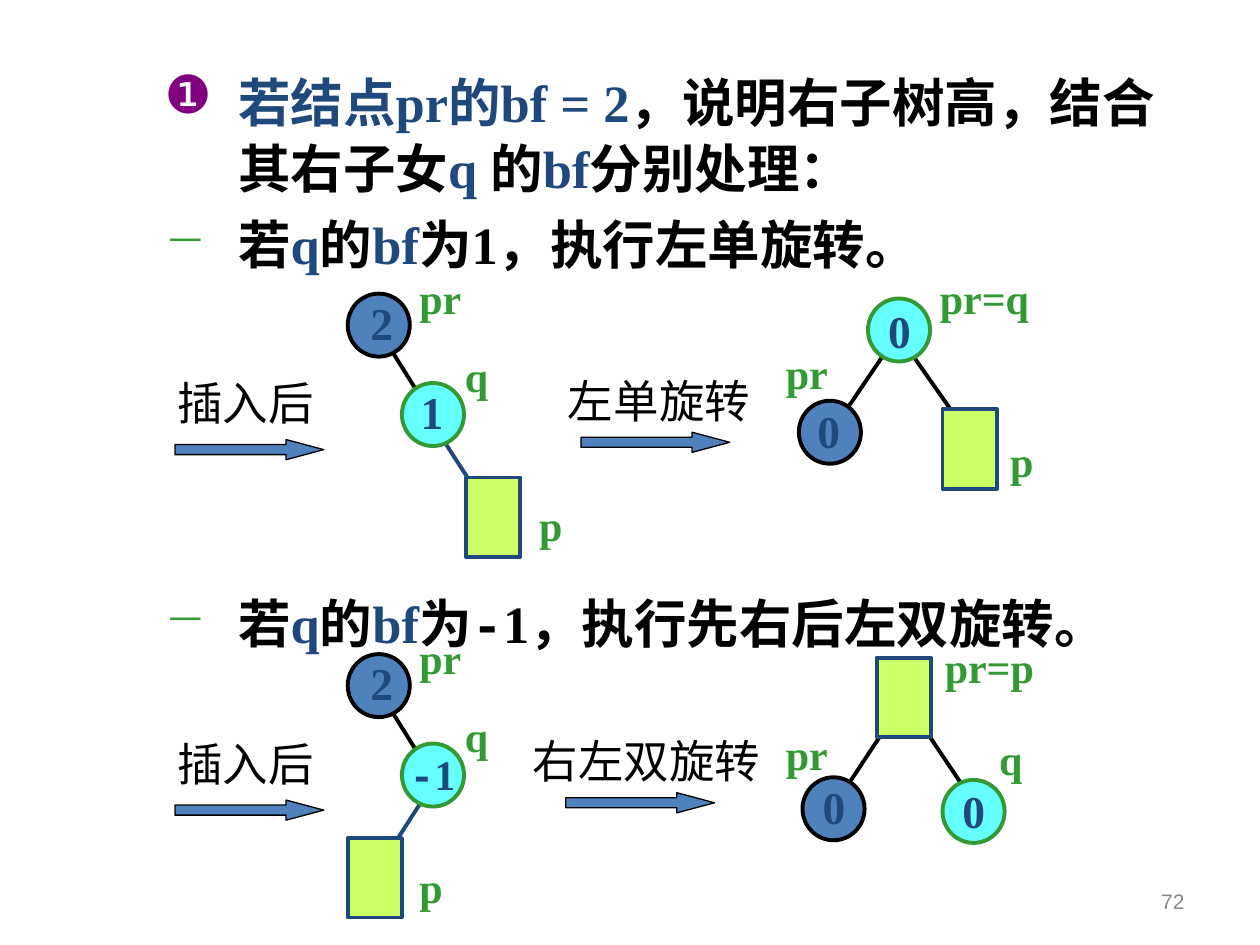
from lxml.etree import SubElement
from pptx import Presentation
from pptx.dml.color import RGBColor
from pptx.enum.shapes import MSO_CONNECTOR as Link, MSO_SHAPE as Kind
from pptx.enum.text import MSO_ANCHOR as Anchor, MSO_AUTO_SIZE as Fit, PP_ALIGN as Align
from pptx.oxml.ns import qn
from pptx.util import Pt

BLACK = RGBColor(0, 0, 0)
NAVY = RGBColor(0x1F, 0x49, 0x7D)
BLUE = RGBColor(0x4F, 0x81, 0xBD)
GREEN = RGBColor(0x33, 0x99, 0x33)
CYAN = RGBColor(0x66, 0xFF, 0xFF)
LIME = RGBColor(0xCC, 0xFF, 0x66)
PURPLE = RGBColor(0x80, 0x00, 0x80)
GREY = RGBColor(0x89, 0x89, 0x89)
SERIF, SANS, MONO = "Times New Roman", "Arial", "Courier New"


def write(shapes, place, *lines, size=26, color=BLACK, face=SERIF, bold=True, wrap=False):
    """Add a text box; text between bars is navy, a hyphen is monospaced."""
    frame = shapes.add_textbox(*map(Pt, place)).text_frame
    frame.word_wrap = wrap
    frame.auto_size = Fit.NONE if wrap else Fit.SHAPE_TO_FIT_TEXT
    for i, line in enumerate(lines):
        par = frame.add_paragraph() if i else frame.paragraphs[0]
        for j, piece in enumerate(line.split("|")):
            head, dash, tail = piece.partition("-")
            for part, name in ((head, face), (dash, MONO), (tail, face)):
                if part:
                    run = par.add_run()
                    run.text = part
                    font = run.font
                    font.size, font.name, font.bold = Pt(size), name, bold
                    font.color.rgb = NAVY if j % 2 else color
    return frame


def draw(shapes, kind, place, fill, edge, width=2.25):
    shape = shapes.add_shape(kind, *map(Pt, place))
    shape.shadow.inherit = False
    shape.fill.solid()
    shape.fill.fore_color.rgb = fill
    shape.line.color.rgb = edge
    shape.line.width = Pt(width)
    return shape


deck = Presentation()
deck.slide_width, deck.slide_height = Pt(720), Pt(540)
slide = deck.slides.add_slide(deck.slide_layouts[6])
root = slide.shapes

# Rules, with room for one drawing between the two cases
body = write(
    root, (51.3, 34.6, 620, 474),
    "|若结点pr的bf = 2|，说明右子树高，结合其右子女|q |的|bf|分别处理：",
    "若|q|的|bf|为1，执行左单旋转。",
    "若|q|的|bf|为-1，执行先右后左双旋转。",
    size=30, wrap=True)
looks = [("❶", PURPLE, 1.05, 0), ("─", GREEN, 1.1, 3.7), ("─", GREEN, 1.1, 177)]
for par, (mark, tint, pitch, gap) in zip(body.paragraphs, looks):
    par.line_spacing = pitch
    par.space_before = Pt(gap)
    props = par._p.get_or_add_pPr()
    props.set("marL", str(Pt(77.75)))
    props.set("indent", str(Pt(-42)))
    props.set("hangingPunct", "0")
    paint = SubElement(props, qn("a:buClr"))
    SubElement(paint, qn("a:srgbClr")).set("val", str(tint))
    SubElement(props, qn("a:buChar")).set("char", mark)

number = write(root, (516, 500.5, 168, 29), "72", size=12, color=GREY,
               face=SANS, bold=False, wrap=True)
number.vertical_anchor = Anchor.MIDDLE
number.paragraphs[0].alignment = Align.RIGHT

# Steps: both rows share one layout, the second STEP lower
STEP = 206
steps = [
    (0, "插入后", 94.3, 211, 93, 100, 251.2),
    (0, "左单旋转", 317.5, 209.5, 119, 332, 247),
    (STEP, "插入后", 94.3, 211, 93, 100, 251.2),
    (STEP, "右左双旋转", 297.4, 209.5, 145, 323.3, 247),
]
for down, text, left, top, wide, tip, level in steps:
    arrow = draw(root, Kind.RIGHT_ARROW, (tip, level + down, 85, 11.5), BLUE, BLACK, 0.75)
    arrow.adjustments[0], arrow.adjustments[1] = 0.5, 1.87
    write(root, (left, top + down, wide, 39), text, face=SANS, bold=False)

# Node styles: kind, width, height, fill, edge
STYLES = {
    "pr": (Kind.OVAL, 35.5, 36, BLUE, BLACK),
    "q": (Kind.OVAL, 35.5, 36, CYAN, GREEN),
    "p": (Kind.RECTANGLE, 31, 45.4, LIME, NAVY),
}
WIDTHS = {"-1": 41, "pr": 38.5, "pr=q": 65.5, "pr=p": 65.5}

# Parts common to both trees before rotation
links = [(219.6, 193.7, 246.2, 236.2, BLACK)]
nodes = [("pr", 198.7, 167.8), ("q", 229.7, 218.9)]
tags = [("2", 204.5, 164.9), ("q", 258.5, 196.6), ("pr", 232.6, 151.9)]

# Each tree: row offset, links, nodes, tags
trees = [
    (0,
     [(249, 244.8, 276.5, 287.3, NAVY)] + links,
     nodes + [("p", 266.4, 272.9)],
     tags + [("1", 233.3, 216), ("p", 301, 282.2)]),
    (0,
     [(506.2, 200.9, 477.4, 243.4, BLACK), (517, 196.6, 545.8, 237.6, BLACK)],
     [("q", 496, 170.6), ("pr", 456.5, 229), ("p", 538.6, 234)],
     [("0", 500.4, 169.9), ("pr", 442, 195.1), ("0", 460, 226.8),
      ("p", 570.2, 245.5), ("pr=q", 530, 151.9)]),
    (STEP,
     [(245.5, 244.8, 218.2, 287.3, NAVY)] + links,
     nodes + [("p", 198.7, 272.9)],
     tags + [("-1", 226.8, 218.1), ("p", 232.6, 282.9)]),
    (STEP,
     [(511.2, 202.2, 483.1, 244.7, BLACK), (522.7, 202.2, 550.8, 244, BLACK)],
     [("q", 538.6, 239.7), ("pr", 458.6, 238.2), ("p", 501, 169.8)],
     [("0", 542.9, 238.2), ("pr", 442, 206.6), ("0", 463, 235.4),
      ("q", 563.8, 209.4), ("pr=p", 532.8, 156.9)]),
]
for down, links, nodes, tags in trees:
    tree = root.add_group_shape().shapes
    for x, y, end, low, tint in links:
        link = tree.add_connector(Link.STRAIGHT, Pt(x), Pt(y + down), Pt(end), Pt(low + down))
        link.line.color.rgb = tint
        link.line.width = Pt(2.25)
        SubElement(link._element.spPr, qn("a:effectLst"))
    for name, x, y in nodes:
        kind, wide, high, fill, edge = STYLES[name]
        draw(tree, kind, (x, y + down, wide, high), fill, edge)
    for text, x, y in tags:
        factor = text[-1].isdigit()
        size = 26 if text.isdigit() else 24
        write(tree, (x, y + down, WIDTHS.get(text, 27.4), 1.5 * size), text,
              size=size, color=NAVY if factor else GREEN)

deck.save("out.pptx")
